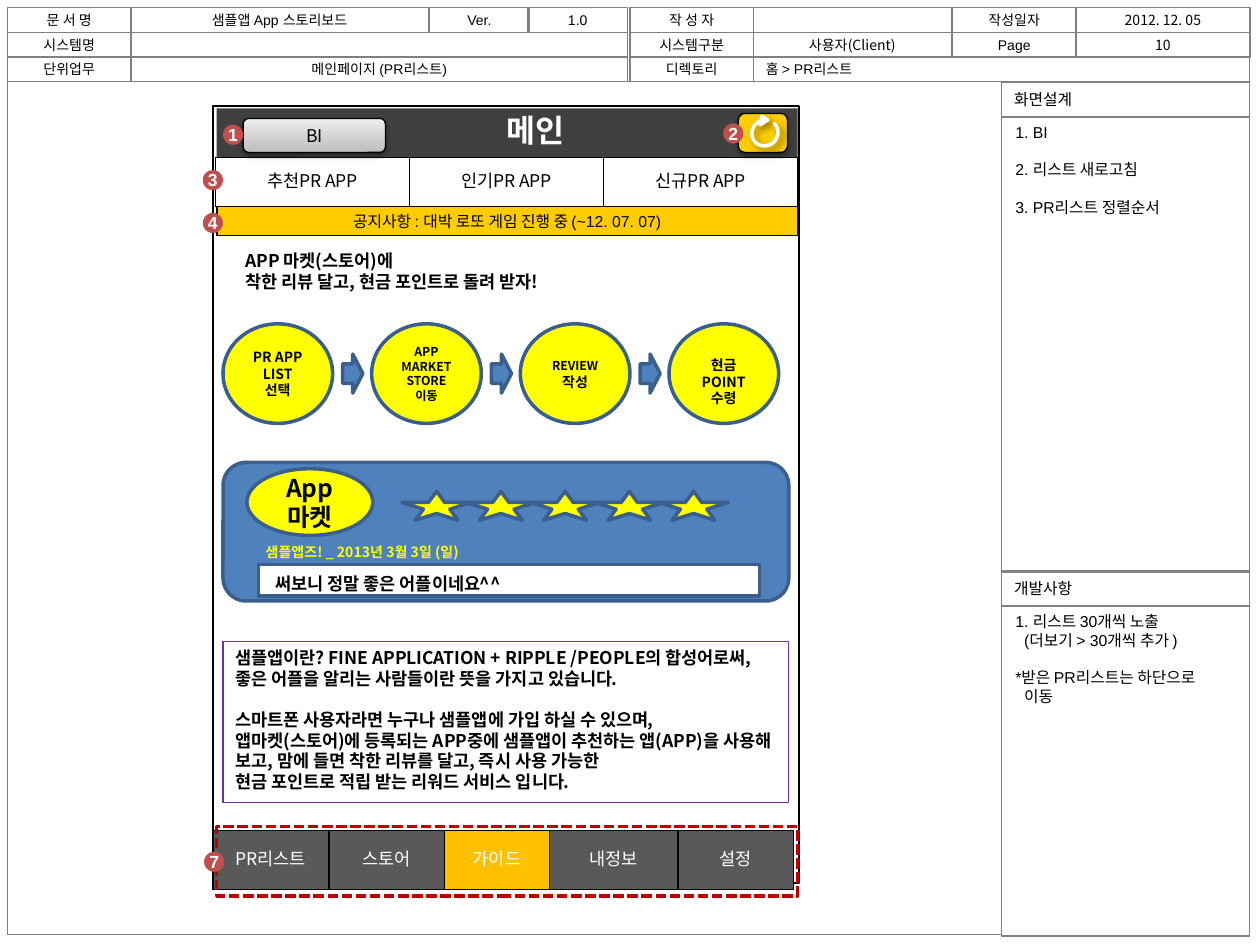
from dataclasses import dataclass

from lxml.etree import SubElement
from pptx import Presentation
from pptx.dml.color import RGBColor
from pptx.enum.dml import MSO_LINE
from pptx.enum.shapes import MSO_SHAPE as SH
from pptx.enum.text import MSO_ANCHOR, PP_ALIGN
from pptx.oxml.ns import qn
from pptx.util import Inches, Pt


@dataclass(frozen=True)
class Theme:
    """Colours, fonts and type sizes of the storyboard."""
    black: str = "000000"
    white: str = "FFFFFF"
    rule: str = "808080"
    bar: str = "404040"
    nav: str = "595959"
    active: str = "FFC000"
    gold: str = "FFCC00"
    yellow: str = "FFFF00"
    blue: str = "4F81BD"
    navy: str = "3A5F8C"
    badge: str = "C0504D"
    red: str = "C00000"
    purple: str = "7030A0"
    silver: tuple = ("BDBDBD", "EEEEEE")
    sans: str = "Arial"
    korean: str = "Noto Sans CJK KR"
    tiny: int = 7
    small: int = 8
    note: int = 9
    body: int = 10
    brand: int = 14
    title: int = 18
    leading: float = 1.18


T = Theme()


def rgb(value):
    """Turn a hex string into a colour."""
    return RGBColor.from_string(value)


def write(tf, lines, size=T.body, font=T.korean, color=T.black, bold=False,
          align=PP_ALIGN.CENTER, hang=0, gaps=(), shifts=()):
    """Fill a text frame; a line is a string or a list of (text, size) runs.

    gaps: lines preceded by a blank line's height; shifts: lines moved right.
    """
    tf.word_wrap = True
    for i, line in enumerate(lines):
        p = tf.paragraphs[0] if i == 0 else tf.add_paragraph()
        formats = {"alignment": align, "line_spacing": Pt(size * T.leading),
                   "space_before": Pt(size * T.leading if i in gaps else 0)}
        for name, value in formats.items():
            setattr(p, name, value)
        if hang:
            pPr = p._p.get_or_add_pPr()
            left = hang + (0.07 if i in shifts else 0)
            pPr.set("marL", str(Inches(left)))
            pPr.set("indent", str(-Inches(hang)))
        for text, run_size in [(line, size)] if isinstance(line, str) else line:
            r = p.add_run()
            r.text = text
            for name, value in {"name": font, "size": Pt(run_size), "bold": bold}.items():
                setattr(r.font, name, value)
            r.font.color.rgb = rgb(color)
            SubElement(r._r.get_or_add_rPr(), qn("a:ea"), typeface=T.korean)


def add_box(s, kind, at, fill=None, line=None, width=1, lines=(), insets=None,
            anchor=MSO_ANCHOR.MIDDLE, **text):
    """Add a preset shape with optional fill, outline and text."""
    sp = s.shapes.add_shape(kind, *map(Inches, at))
    sp.shadow.inherit = False
    if fill:
        sp.fill.solid()
        sp.fill.fore_color.rgb = rgb(fill)
    else:
        sp.fill.background()
    if line:
        sp.line.color.rgb = rgb(line)
        sp.line.width = Pt(width)
    else:
        sp.line.fill.background()
    tf = sp.text_frame
    tf.vertical_anchor = anchor
    if insets:
        sides = ("margin_left", "margin_top", "margin_right", "margin_bottom")
        for name, value in zip(sides, insets):
            setattr(tf, name, Inches(value))
    write(tf, lines, **text)
    return sp


def add_text(s, at, lines, **text):
    """Add a wrapped text box, left aligned unless told otherwise."""
    sp = s.shapes.add_textbox(*map(Inches, at))
    write(sp.text_frame, lines, **{"align": PP_ALIGN.LEFT, **text})


def add_shadow(sp, alpha, blur, dist, angle):
    """Give a shape a soft black outer shadow."""
    effects = sp._element.spPr.find(qn("a:effectLst"))
    shadow = SubElement(effects, qn("a:outerShdw"), blurRad=str(Pt(blur)),
                        dist=str(Pt(dist)), dir=str(angle * 60000), rotWithShape="0")
    color = SubElement(shadow, qn("a:srgbClr"), val=T.black)
    SubElement(color, qn("a:alpha"), val=str(alpha * 1000))


def add_row_table(s, at, widths, labels, fills, color):
    """Add a one-row table with black cell borders."""
    tbl = s.shapes.add_table(1, len(labels), *map(Inches, at)).table
    tbl.first_row = tbl.horz_banding = False
    for i, (width, label, fill) in enumerate(zip(widths, labels, fills)):
        tbl.columns[i].width = Inches(width)
        cell = tbl.cell(0, i)
        cell.vertical_anchor = MSO_ANCHOR.MIDDLE
        write(cell.text_frame, [label], color=color)
        tcPr = cell._tc.get_or_add_tcPr()
        for side in ("lnL", "lnR", "lnT", "lnB"):
            ln = SubElement(tcPr, qn(f"a:{side}"), w=str(Pt(1)))
            SubElement(SubElement(ln, qn("a:solidFill")), qn("a:srgbClr"), val=T.black)
        cell.fill.solid()
        cell.fill.fore_color.rgb = rgb(fill)


def add_badge(s, x, y, number):
    """Add a numbered red marker."""
    add_box(s, SH.OVAL, (x, y, 0.16, 0.16), T.badge, lines=[number], insets=(0,) * 4,
            font=T.sans, color=T.white, bold=True)


def add_header(s):
    """Draw the document information grid."""
    rows = [
        (0.06, [(0.06, 0.98, "문 서 명"), (1.04, 2.36, "샘플앱 App 스토리보드"),
                (3.41, 0.79, "Ver."), (4.19, 0.79, "1.0"), (5, 0.98, "작 성 자"),
                (5.98, 1.57, ""), (7.56, 0.98, "작성일자"), (8.54, 1.38, "2012. 12. 05")]),
        (0.26, [(0.06, 0.98, "시스템명"), (1.04, 3.94, ""), (5, 0.98, "시스템구분"),
                (5.98, 1.57, "사용자(Client)"), (7.56, 0.98, "Page"), (8.54, 1.38, "10")]),
        (0.45, [(0.06, 0.98, "단위업무"), (1.04, 3.94, "메인페이지 (PR리스트)"),
                (5, 0.98, "디렉토리"), (5.98, 3.94, "홈 > PR리스트")]),
    ]
    korean = ("2012. 12. 05", "사용자(Client)", "10")
    for y, cells in rows:
        for x, w, label in cells:
            add_box(s, SH.RECTANGLE, (x, y, w, 0.2), line=T.rule, width=0.75,
                    lines=[label] if label else [], size=T.small,
                    font=T.korean if label in korean else T.sans,
                    align=PP_ALIGN.LEFT if label.startswith("홈") else PP_ALIGN.CENTER)


def add_side_panels(s):
    """Draw the canvas frame and the two note panels."""
    add_box(s, SH.RECTANGLE, (0.06, 0.65, 7.89, 6.77), line=T.rule, width=0.75)
    panels = [
        (0.65, 3.61, "화면설계", ["1. BI", "2. 리스트 새로고침", "3. PR리스트 정렬순서"],
         (1, 2), ()),
        (4.53, 2.62, "개발사항", ["1. 리스트 30개씩 노출", "(더보기 > 30개씩 추가 )",
                              "*받은 PR리스트는 하단으로", "이동"], (2,), (1, 3)),
    ]
    for y, h, heading, notes, gaps, shifts in panels:
        add_box(s, SH.RECTANGLE, (7.95, y, 1.97, 0.28), line=T.rule, width=0.75,
                lines=[heading], size=T.note, font=T.sans, align=PP_ALIGN.LEFT)
        add_box(s, SH.RECTANGLE, (7.95, y + 0.28, 1.97, h), line=T.rule, width=0.75)
        add_text(s, (7.96, y + 0.28, 2.03, 1), notes, size=T.note, font=T.sans,
                 hang=0.38, gaps=gaps, shifts=shifts)


def add_top_bar(s):
    """Draw the app's title bar, tabs and notice."""
    add_box(s, SH.RECTANGLE, (1.72, 0.86, 4.61, 0.4), T.bar)
    add_text(s, (3.19, 0.84, 2.12, 0.4), ["메인"], size=T.title, font=T.sans,
             color=T.white, bold=True, align=PP_ALIGN.CENTER)
    add_row_table(s, (1.71, 1.25, 4.62, 0.39), [1.54] * 3,
                  ["추천PR APP", "인기PR APP", "신규PR APP"], [T.white] * 3, T.black)
    add_box(s, SH.RECTANGLE, (1.72, 1.64, 4.61, 0.23), T.gold, T.black, size=T.note,
            font=T.sans, lines=["공지사항 : 대박 로또 게임 진행 중 (~12. 07. 07)"])
    refresh = add_box(s, SH.ROUNDED_RECTANGLE, (5.86, 0.9, 0.39, 0.31), T.gold, T.black, 0.75)
    bi = add_box(s, SH.ROUNDED_RECTANGLE, (1.93, 0.94, 1.13, 0.27), T.white, T.black, 0.75,
                 lines=["BI"])
    bi.fill.gradient()
    bi.fill.gradient_angle = 90
    for stop, color, position in zip(bi.fill.gradient_stops, T.silver, (0, 1)):
        stop.color.rgb = rgb(color)
        stop.position = position
    for button in (refresh, bi):
        add_shadow(button, 38, 3.1, 1.6, 90)
    arrow = add_box(s, SH.CIRCULAR_ARROW, (5.93, 0.92, 0.28, 0.27), T.white, T.white, 2)
    arrow.rotation = 134.7
    for i, value in enumerate((0, 18.337, 70.455, 108, 0.125)):
        arrow.adjustments[i] = value
    add_shadow(arrow, 40, 4, 3, 45)


def add_steps(s):
    """Draw the slogan and the four reward steps."""
    add_text(s, (1.85, 1.94, 4.41, 0.44),
             ["APP 마켓(스토어)에", "착한 리뷰 달고, 현금 포인트로 돌려 받자!"], bold=True)
    steps = [(["PR APP", "LIST", "선택"], T.small, 0),
             (["APP", "MARKET", "STORE", "이동"], T.tiny, 0),
             ([[("REVIEW", T.tiny), (" 작성", T.small)]], T.small, 0),
             (["현금POINT", "수령"], T.small, 0.13)]
    for i, (lines, size, top) in enumerate(steps):
        x = 1.77 + 1.18 * i
        add_box(s, SH.OVAL, (x, 2.57, 0.87, 0.79), T.yellow, T.navy, 2, lines,
                (0.07, top, 0.07, 0), size=size, bold=True)
        if i:
            add_box(s, SH.RIGHT_ARROW, (x - 0.23, 2.81, 0.16, 0.31), T.blue, T.navy, 2)


def add_review_card(s):
    """Draw the sample store review."""
    add_box(s, SH.ROUNDED_RECTANGLE, (1.77, 3.67, 4.49, 1.1), T.blue, T.navy, 2)
    add_box(s, SH.OVAL, (1.96, 3.72, 1, 0.53), T.yellow, T.navy, 2, ["App", "마켓"],
            size=T.brand, bold=True)
    for i in range(5):
        add_box(s, SH.STAR_5_POINT, (3.19 + 0.51 * i, 3.9, 0.55, 0.23), T.yellow, T.navy, 2)
    add_box(s, SH.RECTANGLE, (2.05, 4.48, 3.98, 0.25), T.white, T.navy, 2)
    add_text(s, (2.09, 4.5, 3.86, 0.27), ["써보니 정말 좋은 어플이네요^^"], bold=True)
    add_text(s, (2.01, 4.27, 3.78, 0.24), ["샘플앱즈! _ 2013년 3월 3일 (일)"],
             size=T.small, color=T.yellow, bold=True)


def add_about(s):
    """Draw the service description and the bottom navigation."""
    add_box(s, SH.RECTANGLE, (1.77, 5.09, 4.49, 1.28), line=T.purple, width=0.75, lines=[
        "샘플앱이란? FINE APPLICATION + RIPPLE /PEOPLE의 합성어로써, "
        "좋은 어플을 알리는 사람들이란 뜻을 가지고 있습니다.",
        "스마트폰 사용자라면 누구나 샘플앱에 가입 하실 수 있으며,",
        "앱마켓(스토어)에 등록되는 APP중에 샘플앱이 추천하는 앱(APP)을 "
        "사용해 보고, 맘에 들면 착한 리뷰를 달고, 즉시 사용 가능한",
        "현금 포인트로 적립 받는 리워드 서비스 입니다."],
        anchor=MSO_ANCHOR.TOP, bold=True, align=PP_ALIGN.LEFT, gaps=(1,))
    add_row_table(s, (1.69, 6.59, 4.62, 0.47), [0.92, 0.92, 0.83, 1.02, 0.92],
                  ["PR리스트", "스토어", "가이드", "내정보", "설정"],
                  [T.nav, T.nav, T.active, T.nav, T.nav], T.white)
    marker = add_box(s, SH.RECTANGLE, (1.72, 6.56, 4.61, 0.55), line=T.red, width=2)
    marker.line.dash_style = MSO_LINE.SQUARE_DOT


def main():
    """Build and save the storyboard slide."""
    prs = Presentation()
    prs.slide_width, prs.slide_height = Inches(10), Inches(7.5)
    s = prs.slides.add_slide(prs.slide_layouts[6])
    add_header(s)
    add_side_panels(s)
    add_box(s, SH.RECTANGLE, (1.69, 0.84, 4.65, 6.17), T.white, T.black)
    for build in (add_top_bar, add_steps, add_review_card, add_about):
        build(s)
    for x, y, number in [(1.77, 0.99, "1"), (5.74, 0.98, "2"), (1.61, 1.35, "3"),
                         (1.61, 1.69, "4"), (1.62, 6.76, "7")]:
        add_badge(s, x, y, number)
    prs.save("out.pptx")


main()
